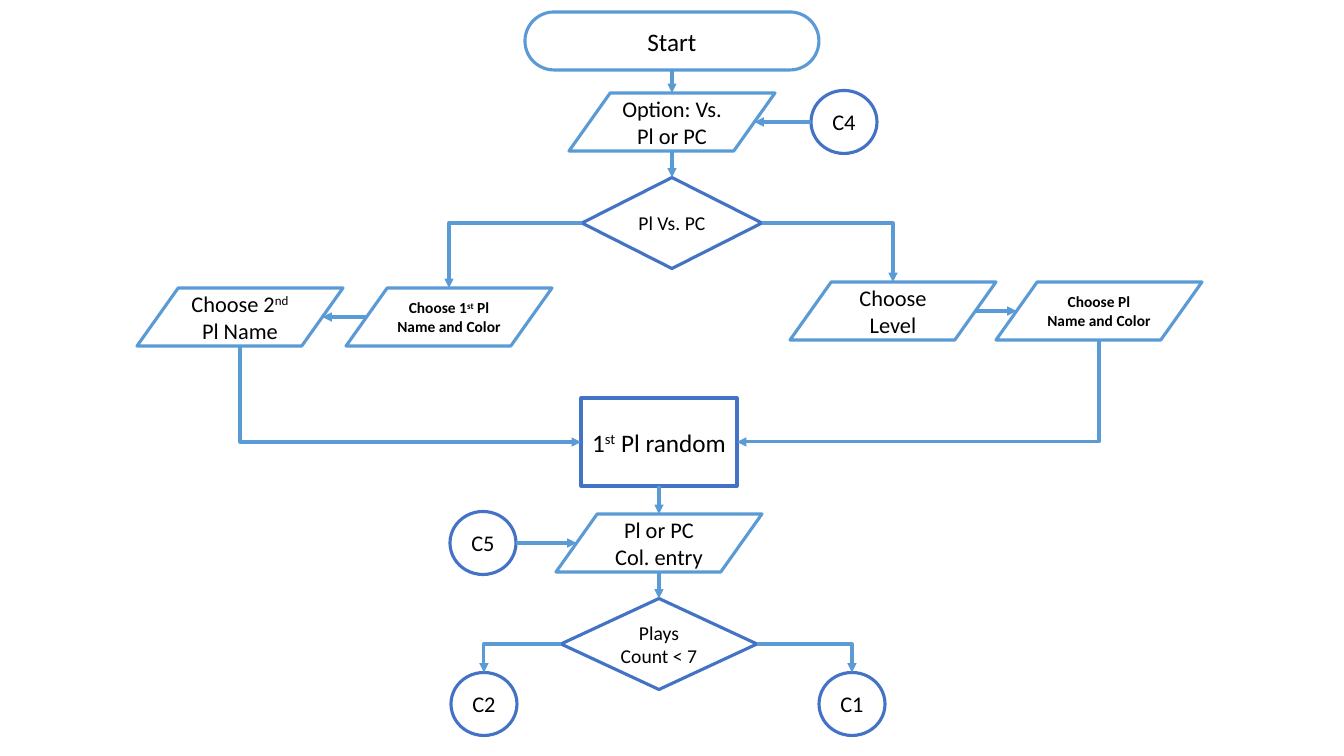
from dataclasses import dataclass

from lxml import etree
from pptx import Presentation
from pptx import util as u
from pptx.dml import color
from pptx.enum import shapes, text
from pptx.oxml import ns

SCALE = 914400 / 100.8
KIND = shapes.MSO_SHAPE
SIDES = ("top", "left", "bottom", "right")


@dataclass
class Theme:
    font: str = "Calibri"
    paper: str = "FFFFFF"
    ink: str = "000000"
    light: str = "5B9BD5"
    dark: str = "4472C4"
    line: float = 2.25
    large: int = 18
    body: int = 16
    small: int = 14
    tiny: int = 11


@dataclass
class Node:
    shape: object
    sites: dict
    ports: dict


def px(n):
    return u.Emu(round(n * SCALE))


def rgb(code):
    return color.RGBColor.from_string(code)


def write(frame, words, font, size, ink, bold=False):
    frame.word_wrap = True
    frame.vertical_anchor = text.MSO_ANCHOR.MIDDLE
    para = frame.paragraphs[0]
    para.alignment = text.PP_ALIGN.CENTER
    for i, part in enumerate(words.split("^")):
        run = para.add_run()
        run.text = part
        run.font.name = font
        run.font.size = u.Pt(size)
        run.font.bold = bold
        run.font.color.rgb = rgb(ink)
        if i % 2:
            run.font._element.set("baseline", "30000")


class Chart:
    def __init__(self, slide, theme):
        self.slide = slide
        self.theme = theme

    def node(self, kind, words, x, y, w, h, line, size,
             sites=(0, 1, 2, 3), inset=0, bold=False):
        shape = self.slide.shapes.add_shape(
            kind, px(x - w / 2), px(y - h / 2), px(w), px(h))
        shape.shadow.inherit = False
        shape.fill.solid()
        shape.fill.fore_color.rgb = rgb(self.theme.paper)
        shape.line.color.rgb = rgb(line)
        shape.line.width = u.Pt(self.theme.line)
        write(shape.text_frame, words, font=self.theme.font, size=size,
              ink=self.theme.ink, bold=bold)
        reach = w / 2 - inset
        ports = {"top": (x, y - h / 2), "bottom": (x, y + h / 2),
                 "left": (x - reach, y), "right": (x + reach, y)}
        return Node(shape, dict(zip(SIDES, sites)), ports)

    def start(self, words, x, y):
        node = self.node(KIND.ROUNDED_RECTANGLE, words, x, y, 294, 58,
                         self.theme.light, self.theme.large)
        node.shape.adjustments[0] = 0.5
        return node

    def entry(self, words, x, y, tiny=False):
        size = self.theme.tiny if tiny else self.theme.body
        return self.node(KIND.FLOWCHART_DATA, words, x, y, 206, 58,
                         self.theme.light, size, sites=(1, 2, 4, 5),
                         inset=20.6, bold=tiny)

    def choice(self, words, x, y, w):
        return self.node(KIND.FLOWCHART_DECISION, words, x, y, w, 91,
                         self.theme.dark, self.theme.small)

    def process(self, words, x, y):
        return self.node(KIND.FLOWCHART_PROCESS, words, x, y, 156, 88,
                         self.theme.dark, self.theme.large)

    def link(self, words, x, y):
        return self.node(KIND.FLOWCHART_CONNECTOR, words, x, y, 66, 63,
                         self.theme.dark, self.theme.body,
                         sites=(0, 2, 4, 6))

    def arrow(self, first, out, last, into):
        x1, y1 = first.ports[out]
        x2, y2 = last.ports[into]
        bent = x1 != x2 and y1 != y2
        turned = bent and out == "bottom"
        right = x2 > x1
        if turned:
            mx, my = (x1 + x2) / 2, (y1 + y2) / 2
            w, h = abs(y2 - y1) / 2, abs(x2 - x1) / 2
            x1, x2 = (mx + w, mx - w) if right else (mx - w, mx + w)
            y1, y2 = my - h, my + h
        types = shapes.MSO_CONNECTOR
        line = self.slide.shapes.add_connector(
            types.ELBOW if bent else types.STRAIGHT,
            px(x1), px(y1), px(x2), px(y2))
        line.line.color.rgb = rgb(self.theme.light)
        line.line.width = u.Pt(self.theme.line)
        props = line._element.spPr
        if bent:
            props.find(ns.qn("a:prstGeom")).set("prst", "bentConnector2")
        if turned:
            props.find(ns.qn("a:xfrm")).set(
                "rot", "16200000" if right else "5400000")
        etree.SubElement(props.find(ns.qn("a:ln")), ns.qn("a:tailEnd"),
                         type="triangle")
        etree.SubElement(props, ns.qn("a:effectLst"))
        glue = line._element.nvCxnSpPr.cNvCxnSpPr
        for tag, node, side in (("a:stCxn", first, out),
                                ("a:endCxn", last, into)):
            etree.SubElement(glue, ns.qn(tag), id=str(node.shape.shape_id),
                             idx=str(node.sites[side]))


deck = Presentation()
deck.slide_width, deck.slide_height = px(1344), px(756)
chart = Chart(deck.slides.add_slide(deck.slide_layouts[6]), Theme())

upper, lower = 672, 659
begin = chart.start("Start", upper, 41)
option = chart.entry("Option: Vs. Pl or PC", upper, 122)
versus = chart.choice("Pl Vs. PC", upper, 223, 180)
second = chart.entry("Choose 2^nd^ Pl Name", 240, 317)
first = chart.entry("Choose 1^st^ Pl Name and Color", 449, 317, tiny=True)
level = chart.entry("Choose Level", 893, 311)
player = chart.entry("Choose Pl Name and Color", 1099, 311, tiny=True)
random = chart.process("1^st^ Pl random", lower, 442)
column = chart.entry("Pl or PC Col. entry", lower, 543)
count = chart.choice("Plays Count < 7", lower, 644, 196)
c1 = chart.link("C1", 852, 704)
c2 = chart.link("C2", 484, 704)
c4 = chart.link("C4", 844, 122)
c5 = chart.link("C5", 483, 543)

for flow in (
    (begin, "bottom", option, "top"),
    (option, "bottom", versus, "top"),
    (c4, "left", option, "right"),
    (versus, "left", first, "top"),
    (versus, "right", level, "top"),
    (first, "left", second, "right"),
    (level, "right", player, "left"),
    (second, "bottom", random, "left"),
    (player, "bottom", random, "right"),
    (random, "bottom", column, "top"),
    (c5, "right", column, "left"),
    (column, "bottom", count, "top"),
    (count, "left", c2, "top"),
    (count, "right", c1, "top"),
):
    chart.arrow(*flow)

deck.save("out.pptx")
